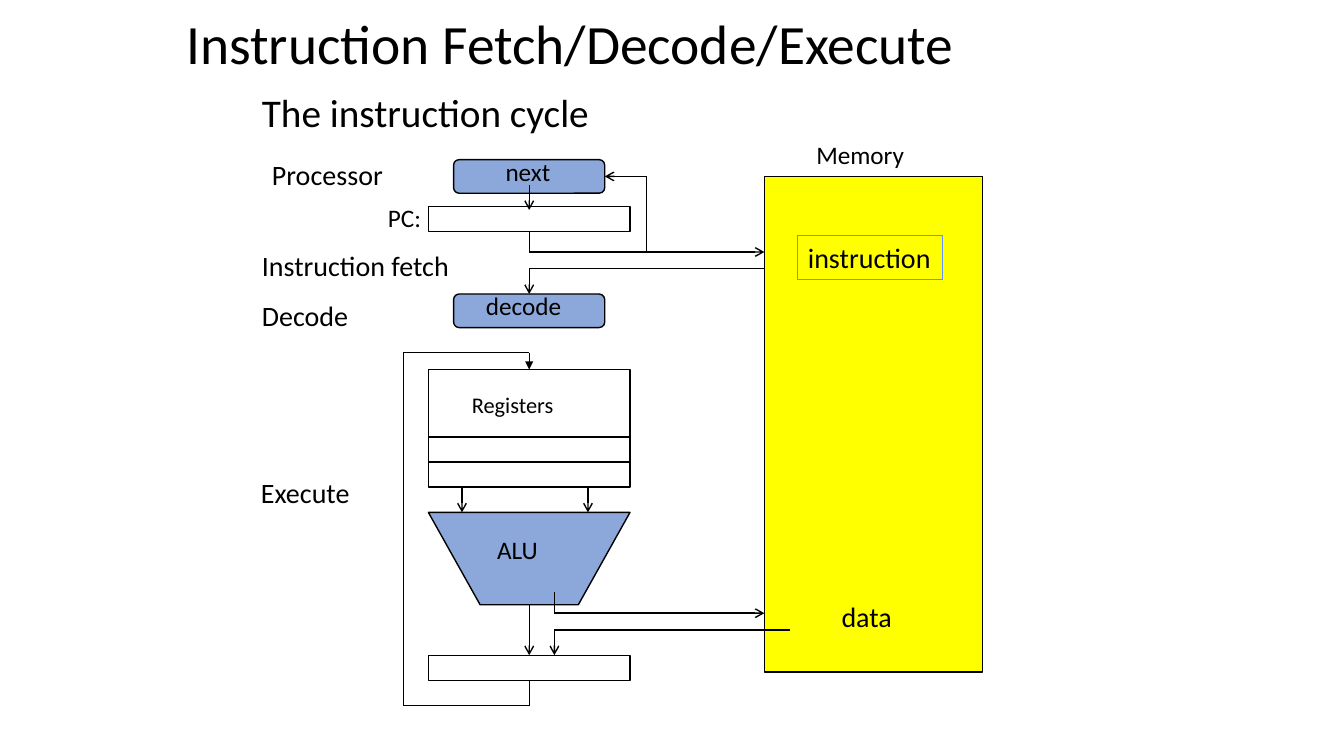
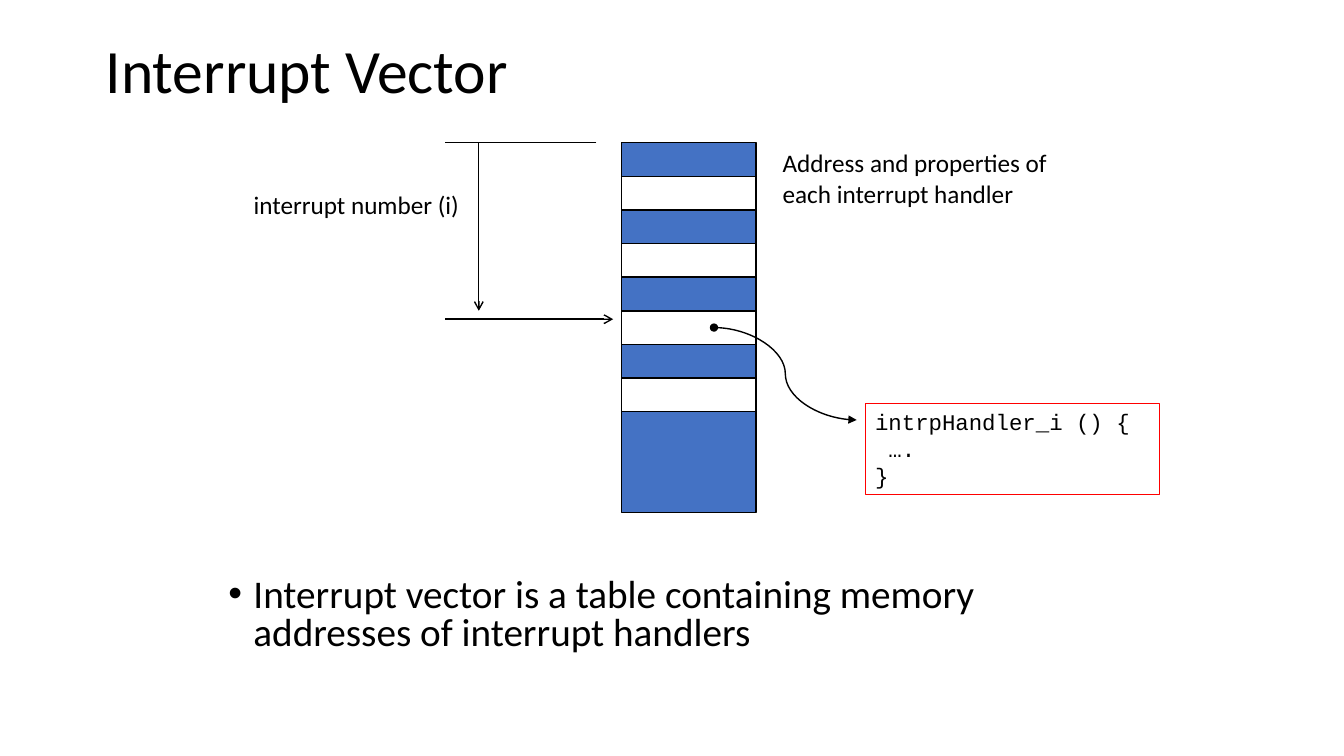
"""Build two slides on the instruction cycle and the interrupt vector."""
from itertools import pairwise

from lxml import etree
from pptx import Presentation
from pptx.dml.color import RGBColor
from pptx.enum import shapes, text
from pptx.oxml.ns import qn
from pptx.util import Pt

BLACK = RGBColor(0, 0, 0)
WHITE = RGBColor(255, 255, 255)
BLUE = RGBColor(0x44, 0x72, 0xC4)
YELLOW = RGBColor(255, 255, 0)
PALE_BLUE = RGBColor(0x61, 0x8F, 0xFD)
RED = RGBColor(255, 0, 0)
KIND = shapes.MSO_SHAPE
LINK = shapes.MSO_CONNECTOR

TITLE = {"line_spacing": 0.9}
BODY = {"line_spacing": 0.8, "space_before": Pt(10)}
RIGHT = {"alignment": text.PP_ALIGN.RIGHT}

CYCLE_TITLE = ("Instruction Fetch/Decode/Execute", (126, 12, 714, 42), 39.6)
CYCLE_SUBTITLE = ("The instruction cycle", (180, 66, 600, 36), 28)
CYCLE_BOXES = [
    (KIND.RECTANGLE, (546, 126, 156, 354), YELLOW, 100),
    (KIND.RECTANGLE, (306, 147.6, 144, 18), None, 100),
    (KIND.RECTANGLE, (306, 264, 144, 84), None, 100),
    (KIND.RECTANGLE, (306, 312, 144, 18), None, 100),
    (KIND.RECTANGLE, (306, 468, 144, 18), None, 100),
    (KIND.ROUNDED_RECTANGLE, (324, 114, 108, 24), BLUE, 61),
    (KIND.ROUNDED_RECTANGLE, (324, 210, 108, 24), BLUE, 61),
]
ALU = (306, 366, 144, 66)
CYCLE_FLOWS = [
    ("arrow", [(378, 132), (378, 150)]),
    ("arrow", [(378, 165.6), (378, 180), (546, 180)]),
    ("arrow", [(462, 180), (462, 126), (432, 126)]),
    ("arrow", [(546, 192), (378, 192), (378, 210)]),
    ("arrow", [(330, 348), (330, 366)]),
    ("arrow", [(420, 348), (420, 366)]),
    ("arrow", [(378, 432), (378, 468)]),
    ("arrow", [(396, 423), (396, 438), (546, 438)]),
    ("arrow", [(564, 450), (396, 450), (396, 468)]),
    ("triangle", [(378, 486), (378, 504), (288, 504), (288, 252), (378, 252), (378, 264)]),
]
CYCLE_LABELS = [
    ("Processor", (187.2, 108.7, 96.5, 31.7), 20),
    ("Instruction fetch", (180, 174, 149, 31.7), 20),
    ("Decode", (180, 210, 79.2, 31.7), 20),
    ("Execute", (179.3, 336, 79.2, 31.7), 20),
    ("data", (594, 424.8, 51.1, 31.7), 20),
    ("Memory", (576, 96, 77.8, 28.8), 18),
    ("PC:", (270, 141.1, 38.9, 28.8), 18),
    ("next", (354, 108, 46.8, 28.8), 18),
    ("decode", (340, 204, 69.1, 28.8), 18),
    ("ALU", (348, 378, 43.9, 28.8), 18),
    ("Registers", (330, 276, 74.2, 26.6), 16),
]
INSTRUCTION = ("instruction", (570, 168, 103, 31.7), 20)

VECTOR_TITLE = ("Interrupt Vector", (68.4, 0, 828, 104.4), 44)
VECTOR_NOTE = ("Interrupt vector is a table containing memory addresses of interrupt handlers",
               (156, 409.7, 652.3, 66.2), 28)
VECTOR = (444, 102, 96, 264)
SLOT_HEIGHT = 24
FREE_SLOTS = (1, 3, 5, 7)
VECTOR_FLOWS = [
    (None, [(426, 102), (318, 102)]),
    ("arrow", [(342, 102), (342, 222)]),
    ("arrow", [(318, 228), (438, 228)]),
]
HANDLER_CURVE = [(510, 234), (612, 300)]
INTERRUPT_NUMBER = ("interrupt number (i)", (132, 132, 203, 28.8), 18)
ADDRESS_NOTE = ("Address and properties of each interrupt handler", (552, 102, 216, 51.1), 18)
HANDLER_CODE = ("intrpHandler_i () {\n ….\n}", (618, 288, 210, 65.5), 16)


def apply(target, values):
    for name, value in values.items():
        setattr(target, name, value)


def write(shape, words, size, font="Calibri", anchor=text.MSO_ANCHOR.TOP, wrap=True, layout=None):
    frame = shape.text_frame
    apply(frame, {"text": words, "word_wrap": wrap, "vertical_anchor": anchor})
    for paragraph in frame.paragraphs:
        apply(paragraph, {"alignment": text.PP_ALIGN.LEFT} | (layout or {}))
        for run in paragraph.runs:
            apply(run.font, {"name": font, "size": Pt(size)})
            run.font.color.rgb = BLACK
    return shape


def label(slide, content, **style):
    words, place, size = content
    return write(slide.shapes.add_textbox(*map(Pt, place)), words, size, **style)


def box(slide, place, fill=None, kind=KIND.RECTANGLE, alpha=100, edge=BLACK, width=1):
    shape = slide.shapes.add_shape(kind, *map(Pt, place))
    shape.shadow.inherit = False
    shape.line.color.rgb = edge
    shape.line.width = Pt(width)
    if fill is None:
        shape.fill.background()
    else:
        shape.fill.solid()
        shape.fill.fore_color.rgb = fill
    if alpha < 100:
        tint = shape.element.spPr.find(qn("a:solidFill"))[0]
        etree.SubElement(tint, qn("a:alpha"), val=str(alpha * 1000))
    return shape


def link(slide, start, end, head=None, tail=None, kind=LINK.STRAIGHT):
    connector = slide.shapes.add_connector(kind, *map(Pt, start + end))
    connector.line.color.rgb = BLACK
    connector.line.width = Pt(1)
    properties = connector.element.spPr
    for tag, tip in (("a:headEnd", head), ("a:tailEnd", tail)):
        if tip:
            etree.SubElement(properties.find(qn("a:ln")), qn(tag), type=tip)
    etree.SubElement(properties, qn("a:effectLst"))


def flows(slide, routes):
    for tip, points in routes:
        for start, end in pairwise(points):
            link(slide, start, end, tail=tip if end == points[-1] else None)


def add_bullet(shape, indent):
    properties = shape.text_frame.paragraphs[0]._p.get_or_add_pPr()
    properties.set("marL", str(Pt(indent)))
    properties.set("indent", str(-Pt(indent)))
    etree.SubElement(properties, qn("a:buFont"), typeface="Arial")
    etree.SubElement(properties, qn("a:buChar"), char="•")


def new_slide(deck, title):
    slide = deck.slides.add_slide(deck.slide_layouts[6])
    label(slide, title, anchor=text.MSO_ANCHOR.MIDDLE, layout=TITLE)
    return slide


def build_cycle(deck):
    slide = new_slide(deck, CYCLE_TITLE)
    label(slide, CYCLE_SUBTITLE, layout=BODY)
    for kind, place, fill, alpha in CYCLE_BOXES:
        box(slide, place, fill, kind, alpha)
    alu = box(slide, ALU, BLUE, KIND.TRAPEZOID, 61)
    alu.adjustments[0] = 0.56
    alu.rotation = 180
    flows(slide, CYCLE_FLOWS)
    words, place, size = INSTRUCTION
    write(box(slide, place, edge=PALE_BLUE, width=0.75), words, size, wrap=False)
    for content in CYCLE_LABELS:
        label(slide, content, wrap=False)


def build_vector(deck):
    slide = new_slide(deck, VECTOR_TITLE)
    add_bullet(label(slide, VECTOR_NOTE, layout=BODY), 18)
    box(slide, VECTOR, BLUE)
    left, top, width, _ = VECTOR
    for slot in FREE_SLOTS:
        box(slide, (left, top + slot * SLOT_HEIGHT, width, SLOT_HEIGHT), WHITE)
    flows(slide, VECTOR_FLOWS)
    link(slide, *HANDLER_CURVE, head="oval", tail="triangle", kind=LINK.CURVE)
    label(slide, INTERRUPT_NUMBER, layout=RIGHT)
    label(slide, ADDRESS_NOTE)
    words, place, size = HANDLER_CODE
    write(box(slide, place, edge=RED, width=0.75), words, size, font="Courier New")


def main():
    deck = Presentation()
    apply(deck, {"slide_width": Pt(960), "slide_height": Pt(540)})
    build_cycle(deck)
    build_vector(deck)
    deck.save("out.pptx")


if __name__ == "__main__":
    main()
